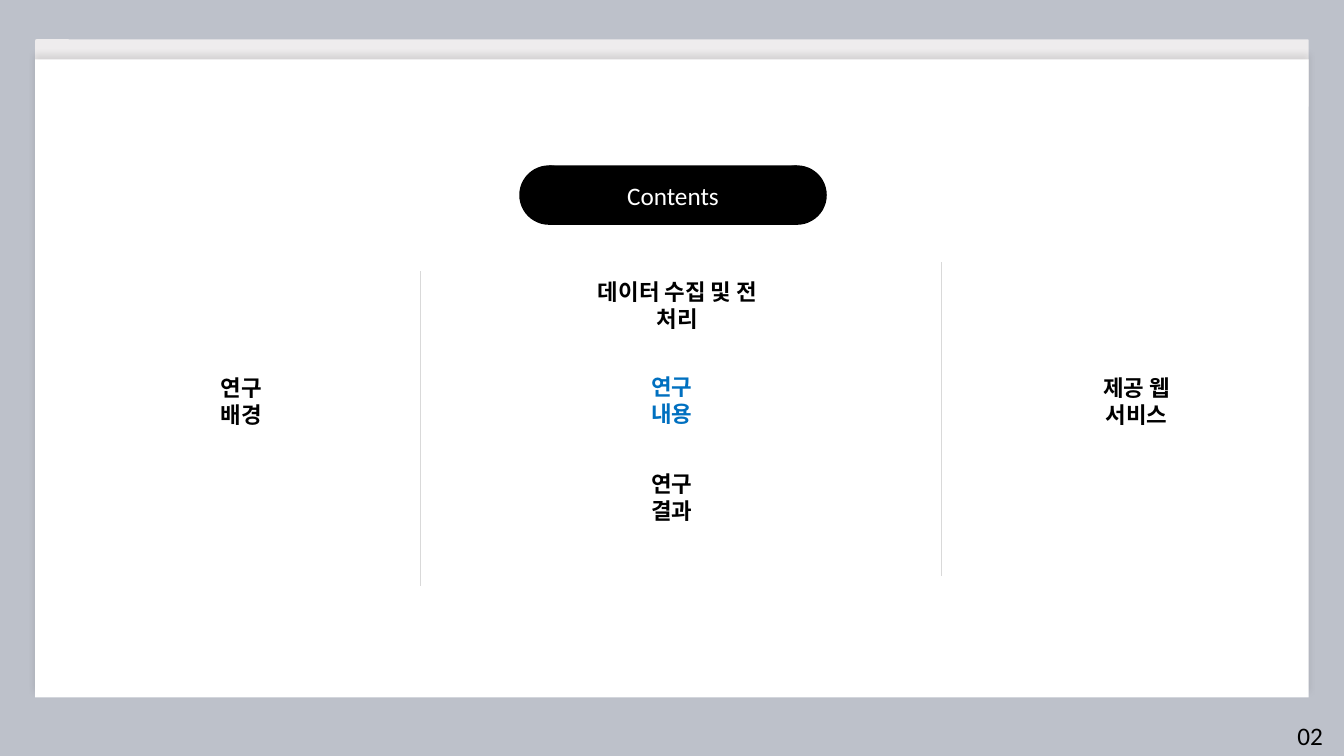
from lxml import etree
from pptx import Presentation
from pptx.dml.color import RGBColor
from pptx.enum.shapes import MSO_CONNECTOR, MSO_SHAPE
from pptx.enum.text import MSO_ANCHOR, PP_ALIGN
from pptx.oxml import parse_xml
from pptx.oxml.ns import qn
from pptx.util import Inches, Pt

RECT, ROUND, OVAL = MSO_SHAPE.RECTANGLE, MSO_SHAPE.ROUNDED_RECTANGLE, MSO_SHAPE.OVAL
STRAIGHT = MSO_CONNECTOR.STRAIGHT
LEFT, CENTER = PP_ALIGN.LEFT, PP_ALIGN.CENTER
TOP, MIDDLE = MSO_ANCHOR.TOP, MSO_ANCHOR.MIDDLE

BACKGROUND = RGBColor(0xBD, 0xC1, 0xCA)
TAB_GRAY = RGBColor(0xEE, 0xEC, 0xED)
LINE_GRAY = RGBColor(0xD9, 0xD9, 0xD9)
BLUE = RGBColor(0x00, 0x70, 0xC0)
WHITE = RGBColor(0xFF, 0xFF, 0xFF)
BLACK = RGBColor(0, 0, 0)
FONT = "Calibri"

SHADOW = (
    '<a:effectLst xmlns:a="http://schemas.openxmlformats.org/drawingml/2006/main">'
    '<a:outerShdw blurRad="50800" dist="38100" dir="16200000" rotWithShape="0">'
    '<a:srgbClr val="000000"><a:alpha val="10000"/></a:srgbClr>'
    '</a:outerShdw></a:effectLst>'
)


def add_block(s, kind, x, y, w, h, color):
    sp = s.shapes.add_shape(kind, Inches(x), Inches(y), Inches(w), Inches(h))
    sp.shadow.inherit = False
    sp.fill.solid()
    sp.fill.fore_color.rgb = color
    sp.line.fill.background()
    return sp


def set_text(sp, text, size, color, align=CENTER, anchor=MIDDLE, bold=False):
    tf = sp.text_frame
    tf.text = text
    tf.word_wrap = True
    tf.vertical_anchor = anchor
    p = tf.paragraphs[0]
    p.alignment = align
    font = p.runs[0].font
    font.name, font.size, font.bold = FONT, Pt(size), bold
    font.color.rgb = color


def add_label(s, text, x, y, w, color=BLACK):
    sp = s.shapes.add_textbox(Inches(x), Inches(y), Inches(w), Inches(0.37))
    set_text(sp, text, 16, color, bold=True)
    sp.text_frame.margin_left = sp.text_frame.margin_right = Inches(0.12)


def add_divider(s, x, y, h):
    line = s.shapes.add_connector(STRAIGHT, Inches(x), Inches(y), Inches(x), Inches(y + h))
    line.line.color.rgb = LINE_GRAY
    line.line.width = Pt(1)
    etree.SubElement(line._element.spPr, qn("a:effectLst"))


def add_page(s, x, y, w, h):
    # Gray tab behind a white sheet
    tab = add_block(s, ROUND, x, y, w, 0.67, TAB_GRAY)
    tab.adjustments[0] = 0.015
    sheet = add_block(s, RECT, x, y + 0.2, w, h - 0.2, WHITE)
    spPr = sheet._element.spPr
    spPr.replace(spPr.find(qn("a:effectLst")), parse_xml(SHADOW))


def add_title_pill(s, x, y, w, h):
    # Round ends, with the title spanning their centres
    for end_x in (x, x + w - h):
        add_block(s, OVAL, end_x, y, h, h, BLACK)
    title = s.shapes.title
    title.left, title.top = Inches(x + h / 2), Inches(y)
    title.width, title.height = Inches(w - h), Inches(h)
    title.fill.solid()
    title.fill.fore_color.rgb = BLACK
    set_text(title, "Contents", 18, WHITE)
    s.shapes._spTree.append(title._element)  # bring to front


def add_contents(s, x, y):
    # Dividers between the three columns
    add_divider(s, x + 2.31, y + 0.09, 3.12)
    add_divider(s, x + 7.48, y, 3.11)
    # Left, middle and right topics
    add_label(s, "연구 배경", x, y + 1.19, 1.07)
    add_label(s, "데이터 수집 및 전 처리", x + 3.74, y + 0.24, 2.24)
    add_label(s, "연구 내용", x + 4.27, y + 1.18, 1.07, BLUE)
    add_label(s, "연구 결과", x + 4.27, y + 2.15, 1.07)
    add_label(s, "제공 웹 서비스", x + 8.65, y + 1.19, 1.53)


def add_page_number(s, x, y):
    sp = s.shapes.add_textbox(Inches(x), Inches(y), Inches(0.54), Inches(0.4))
    set_text(sp, "02", 18, BLACK, LEFT, TOP)


def main():
    prs = Presentation()
    prs.slide_width, prs.slide_height = Inches(13.33), Inches(7.5)
    s = prs.slides.add_slide(prs.slide_layouts[5])
    s.background.fill.solid()
    s.background.fill.fore_color.rgb = BACKGROUND
    add_page(s, 0.35, 0.39, 12.63, 6.53)
    add_title_pill(s, 5.15, 1.64, 3.05, 0.59)
    add_contents(s, 1.86, 2.6)
    add_page_number(s, 12.77, 7.1)
    prs.save("out.pptx")


if __name__ == "__main__":
    main()
